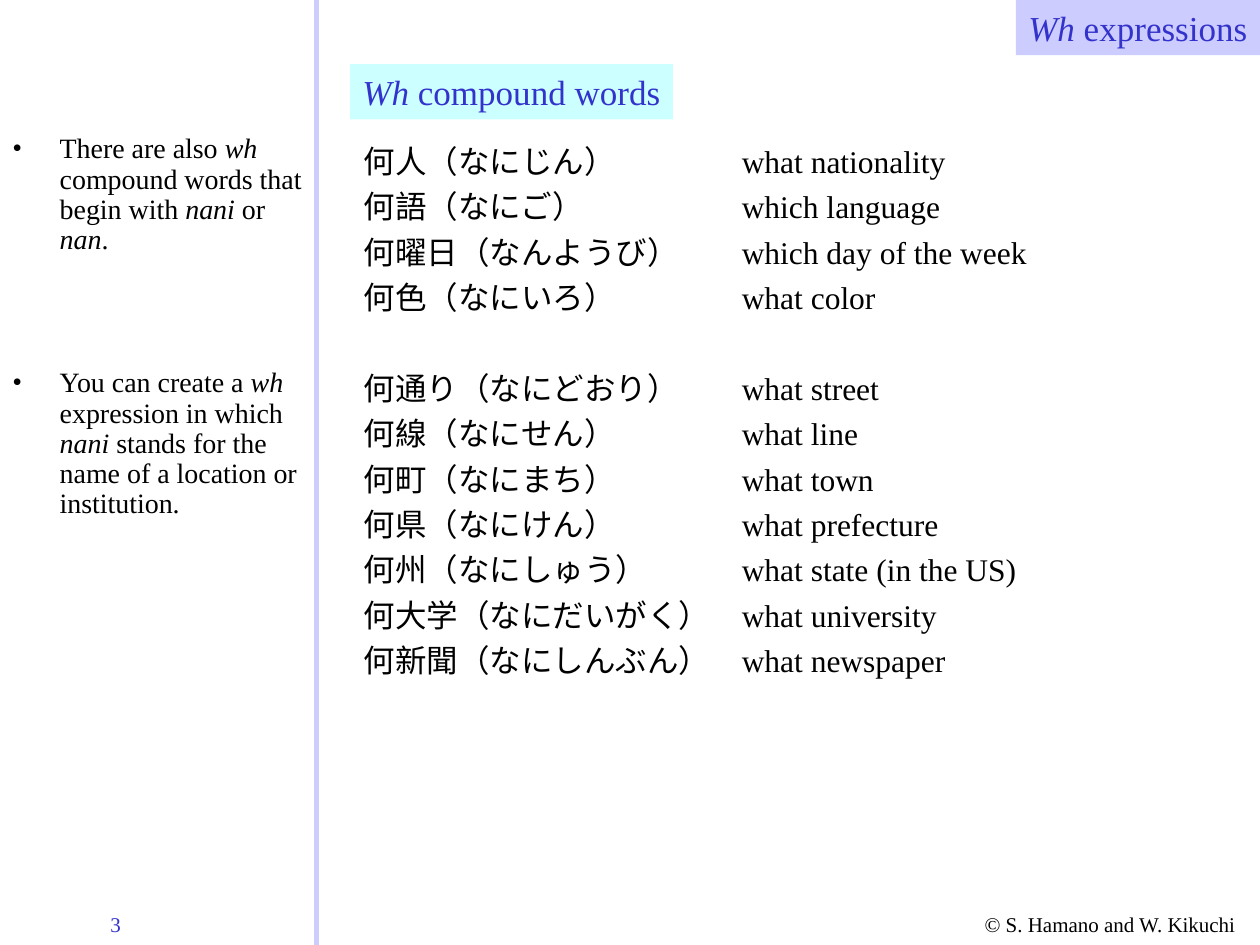
from dataclasses import dataclass

from lxml import etree
from pptx import Presentation
from pptx import util as u
from pptx.dml.color import RGBColor
from pptx.enum import shapes, text
from pptx.oxml.ns import qn


@dataclass(frozen=True)
class Theme:
    latin: str = "Times New Roman"
    japanese: str = "Noto Sans CJK JP"
    ink: str = "000000"
    accent: str = "3333CC"
    lavender: str = "CCCCFF"
    aqua: str = "CCFFFF"
    label: int = 20
    words: int = 18
    note: int = 16
    small: int = 12


THEME = Theme()
DIVIDER = 180.7
TITLE_BOX = (580.5, 0, 139.5, 31.5)
HEADING_BOX = (200, 36.7, 184.5, 31.5)
WORDS_BOX = (200.8, 73.4, 393, 318)
TRANSLATION_TAB = 216
GROUP_GAP = 26
NOTES = [
    (73.4, 90, "There are also *wh* compound words that begin with *nani* or *nan*."),
    (207.2, 96.5, "You can create a *wh* expression in which *nani* stands for the name "
                  "of a location or institution."),
]
WORD_GROUPS = [
    [
        ("何人（なにじん）", "what nationality"),
        ("何語（なにご）", "which language"),
        ("何曜日（なんようび）", "which day of the week"),
        ("何色（なにいろ）", "what color"),
    ],
    [
        ("何通り（なにどおり）", "what street"),
        ("何線（なにせん）", "what line"),
        ("何町（なにまち）", "what town"),
        ("何県（なにけん）", "what prefecture"),
        ("何州（なにしゅう）", "what state (in the US)"),
        ("何大学（なにだいがく）", "what university"),
        ("何新聞（なにしんぶん）", "what newspaper"),
    ],
]


def points(values):
    return [u.Pt(value) for value in values]


def apply_format(target, values):
    for name, value in values.items():
        setattr(target, name, value)


def write(paragraph, marked_text, size, color=THEME.ink, **paragraph_format):
    apply_format(paragraph, paragraph_format)
    for index, part in enumerate(marked_text.split("*")):
        if not part:
            continue
        run = paragraph.add_run()
        run.text = part
        apply_format(run.font, {"name": THEME.latin, "size": u.Pt(size), "italic": index % 2 == 1})
        run.font.color.rgb = RGBColor.from_string(color)
        east_asian = etree.SubElement(run.font._element, qn("a:ea"))
        east_asian.set("typeface", THEME.japanese)


def prepare_frame(shape, wrap=True):
    apply_format(shape.text_frame, {
        "word_wrap": wrap,
        "auto_size": text.MSO_AUTO_SIZE.NONE,
        "vertical_anchor": text.MSO_ANCHOR.TOP,
    })
    return shape.text_frame


def add_text(slide, box, wrap=True):
    return prepare_frame(slide.shapes.add_textbox(*points(box)), wrap)


def format_label(shape, marked_text, fill, alignment):
    shape.fill.solid()
    shape.fill.fore_color.rgb = RGBColor.from_string(fill)
    frame = prepare_frame(shape, wrap=False)
    write(frame.paragraphs[0], marked_text, THEME.label, THEME.accent, alignment=alignment)


def add_title(slide):
    title = slide.shapes.title
    apply_format(title, dict(zip(("left", "top", "width", "height"), points(TITLE_BOX))))
    format_label(title, "*Wh* expressions", THEME.lavender, text.PP_ALIGN.RIGHT)
    title.text_frame.margin_left = u.Pt(0)


def add_heading(slide):
    heading = slide.shapes.add_shape(shapes.MSO_SHAPE.RECTANGLE, *points(HEADING_BOX))
    heading.shadow.inherit = False
    heading.line.fill.background()
    format_label(heading, "*Wh* compound words", THEME.aqua, text.PP_ALIGN.LEFT)


def add_divider(slide):
    divider = slide.shapes.add_connector(
        shapes.MSO_CONNECTOR.STRAIGHT, *points((DIVIDER, 0, DIVIDER, 540)))
    divider.line.width = u.Pt(3)
    divider.line.color.rgb = RGBColor.from_string(THEME.lavender)
    etree.SubElement(divider._element.spPr, qn("a:effectLst"))


def add_note(slide, top, height, marked_text):
    paragraph = add_text(slide, (0, top, DIVIDER, height)).paragraphs[0]
    write(paragraph, marked_text, THEME.note, line_spacing=0.9)
    properties = paragraph._p.get_or_add_pPr()
    properties.set("marL", str(u.Pt(27)))
    properties.set("indent", str(u.Pt(-27)))
    etree.SubElement(properties, qn("a:buFont")).set("typeface", THEME.latin)
    etree.SubElement(properties, qn("a:buChar")).set("char", "•")


def add_words(slide):
    frame = add_text(slide, WORDS_BOX, wrap=False)
    paragraph = frame.paragraphs[0]
    for group_index, group in enumerate(WORD_GROUPS):
        for row_index, (word, meaning) in enumerate(group):
            starts_group = group_index > 0 and row_index == 0
            if group_index or row_index:
                paragraph = frame.add_paragraph()
            write(paragraph, f"{word}\t{meaning}", THEME.words, line_spacing=1.2,
                  space_before=u.Pt(GROUP_GAP if starts_group else 0))
            tabs = etree.SubElement(paragraph._p.get_or_add_pPr(), qn("a:tabLst"))
            tab = etree.SubElement(tabs, qn("a:tab"))
            tab.set("pos", str(u.Pt(TRANSLATION_TAB)))
            tab.set("algn", "l")


def add_footer(slide):
    credit = add_text(slide, (555.5, 517.5, 164.5, 21.5))
    write(credit.paragraphs[0], "© S. Hamano and W. Kikuchi", THEME.small)
    number = add_text(slide, (56, 517.5, 64, 21.5))
    write(number.paragraphs[0], "3", THEME.small, THEME.accent)


def main():
    presentation = Presentation()
    apply_format(presentation, {"slide_width": u.Pt(720), "slide_height": u.Pt(540)})
    slide = presentation.slides.add_slide(presentation.slide_layouts[5])
    add_footer(slide)
    add_divider(slide)
    add_title(slide)
    add_heading(slide)
    add_words(slide)
    for note in NOTES:
        add_note(slide, *note)
    presentation.save("out.pptx")


if __name__ == "__main__":
    main()
